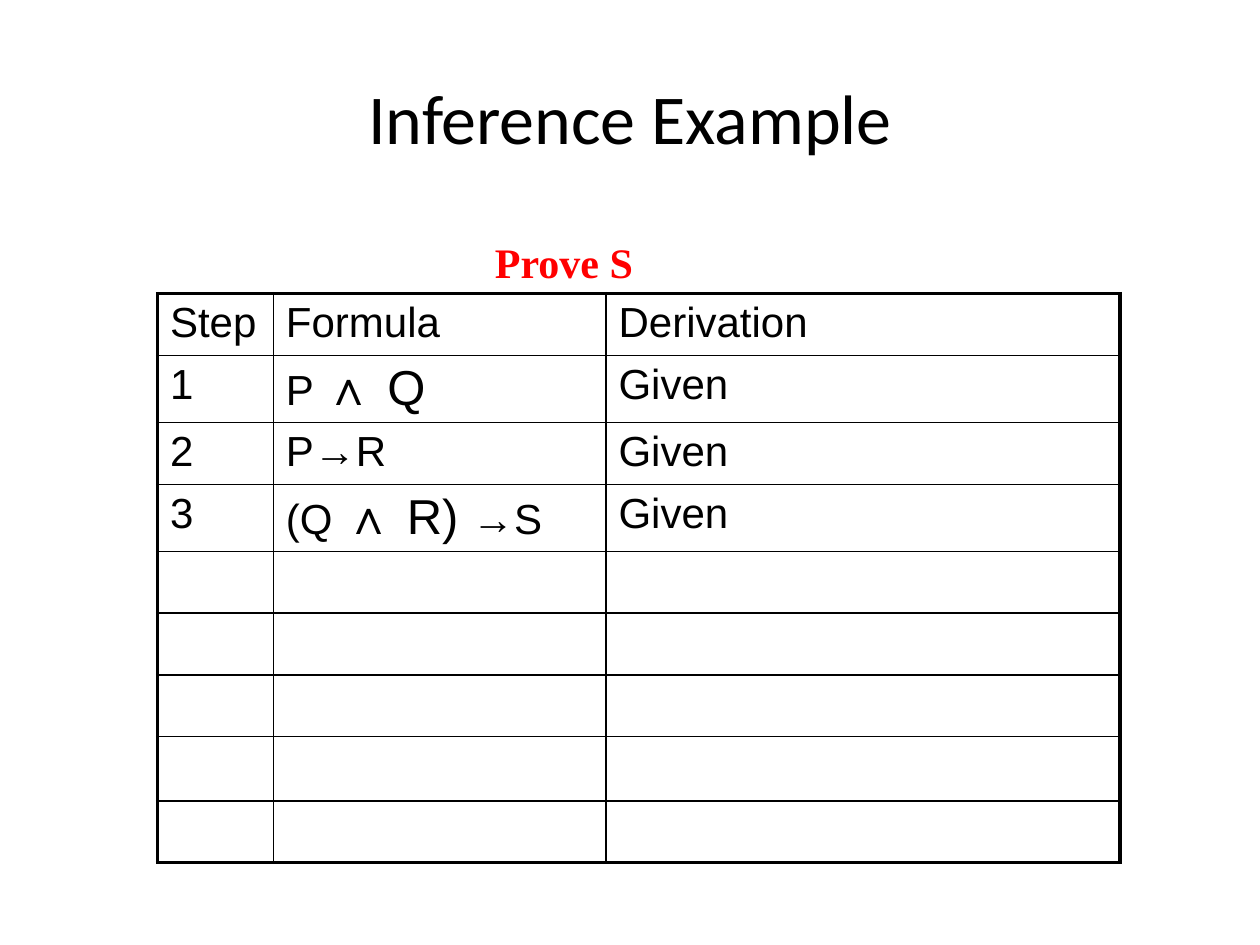
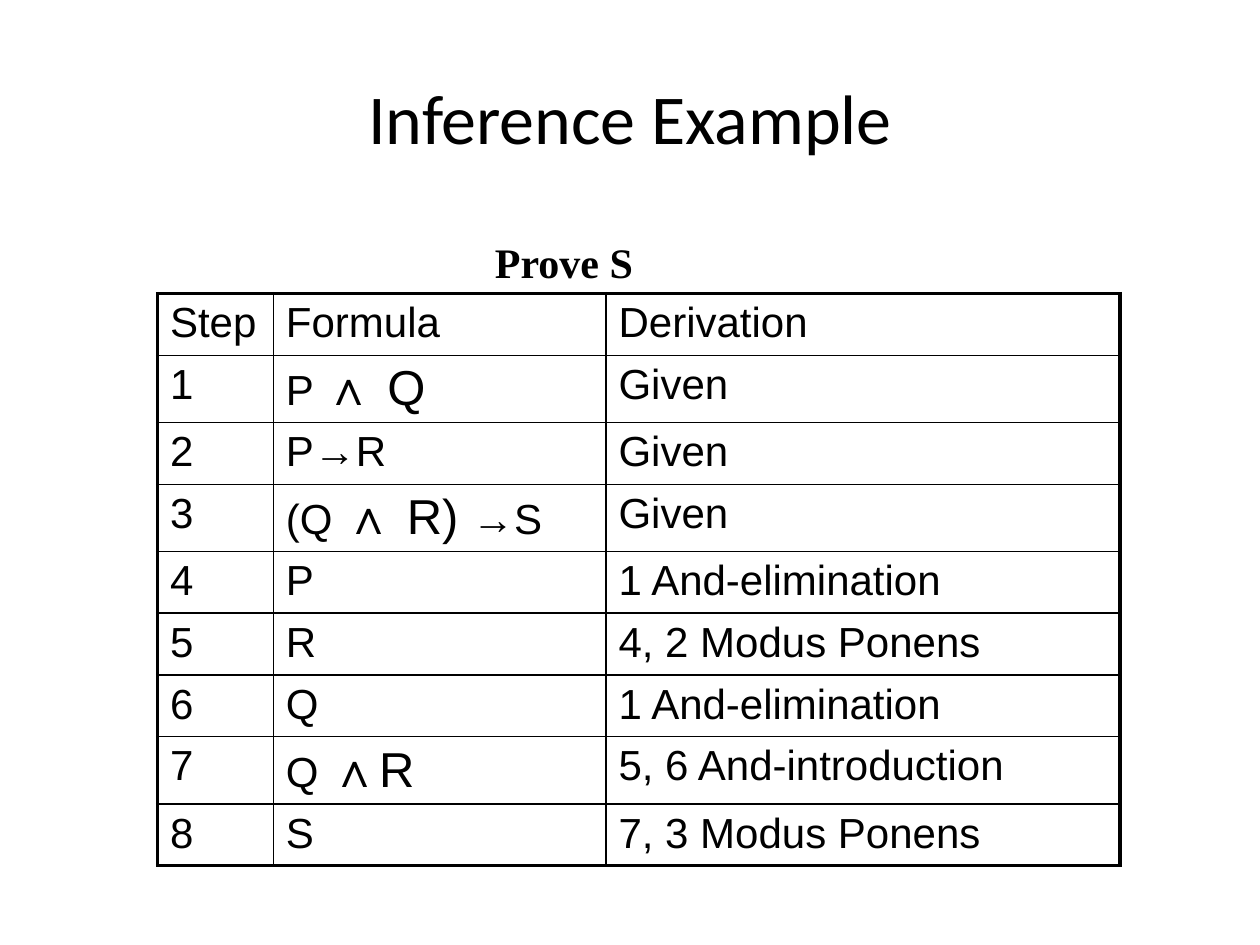
from dataclasses import dataclass

from lxml import etree
from pptx import Presentation
from pptx import util as u
from pptx.dml.color import RGBColor
from pptx.enum import text
from pptx.oxml.ns import qn


@dataclass(frozen=True)
class Theme:
    ink: str = "000000"
    accent: str = "FF0000"
    title_font: str = "Calibri"
    table_font: str = "Arial"
    goal_font: str = "Times New Roman"
    title_size: int = 40
    body_size: int = 24
    conjunction_size: int = 28
    outer_border: float = 2.25
    inner_border: float = 1


THEME = Theme()

COLUMN_WIDTHS = (0.92, 2.64, 4.08)
ROW_HEIGHT, TALL_ROW_HEIGHT = 0.49, 0.51
TALL_ROWS = (1, 3, 7)

# Each formula is a tuple of runs; runs holding a conjunction are set larger.
HEADER = ("Step", ("Formula",), "Derivation")
PREMISES = [
    ("1", ("P ", "∧ Q"), "Given"),
    ("2", ("P→R",), "Given"),
    ("3", ("(Q ", "∧ R) ", "→S"), "Given"),
]
DERIVED = [
    ("4", ("P",), "1 And-elimination"),
    ("5", ("R",), "4, 2 Modus Ponens"),
    ("6", ("Q",), "1 And-elimination"),
    ("7", ("Q ", "∧R"), "5, 6 And-introduction"),
    ("8", ("S",), "7, 3 Modus Ponens"),
]
UNSOLVED = [("", (), "")] * len(DERIVED)


def style_font(font, name, size, color=THEME.ink, bold=False):
    font.name = name
    font.size = u.Pt(size)
    font.bold = bold
    font.color.rgb = RGBColor.from_string(color)


def add_title(s, title):
    sp = s.shapes.title
    sp.left, sp.top = u.Inches(0.5), u.Inches(0.3)
    sp.width, sp.height = u.Inches(9), u.Inches(1.25)
    tf = sp.text_frame
    tf.text = title
    tf.vertical_anchor = text.MSO_ANCHOR.MIDDLE
    p = tf.paragraphs[0]
    p.alignment = text.PP_ALIGN.CENTER
    style_font(p.runs[0].font, THEME.title_font, THEME.title_size)


def add_goal(s, goal, color):
    sp = s.shapes.add_textbox(u.Inches(3.83), u.Inches(1.83),
                              u.Inches(2.08), u.Inches(0.5))
    tf = sp.text_frame
    tf.word_wrap = True
    tf.auto_size = text.MSO_AUTO_SIZE.SHAPE_TO_FIT_TEXT
    tf.text = goal
    style_font(tf.paragraphs[0].runs[0].font, THEME.goal_font,
               THEME.body_size, color, bold=True)


def set_borders(cell, outer_sides):
    """Draw all four borders, heavier on the sides along the table's edge."""
    tc_pr = cell._tc.get_or_add_tcPr()
    for side in "LRTB":
        width = THEME.outer_border if side in outer_sides else THEME.inner_border
        ln = etree.SubElement(tc_pr, qn(f"a:ln{side}"), w=str(u.Pt(width)))
        fill = etree.SubElement(ln, qn("a:solidFill"))
        etree.SubElement(fill, qn("a:srgbClr"), val=THEME.ink)


def fill_cell(cell, runs):
    p = cell.text_frame.paragraphs[0]
    for run_text in runs:
        r = p.add_run()
        r.text = run_text
        size = THEME.conjunction_size if "∧" in run_text else THEME.body_size
        style_font(r.font, THEME.table_font, size)


def add_proof_table(s, rows):
    heights = [TALL_ROW_HEIGHT if i in TALL_ROWS else ROW_HEIGHT
               for i in range(len(rows))]
    table = s.shapes.add_table(
        len(rows), len(COLUMN_WIDTHS), u.Inches(1.25), u.Inches(2.33),
        u.Inches(sum(COLUMN_WIDTHS)), u.Inches(sum(heights))).table
    table.first_row = table.horz_banding = False
    for column, width in zip(table.columns, COLUMN_WIDTHS):
        column.width = u.Inches(width)
    last_row, last_column = len(rows) - 1, len(COLUMN_WIDTHS) - 1
    for i, (step, formula, derivation) in enumerate(rows):
        table.rows[i].height = u.Inches(heights[i])
        for j, runs in enumerate(((step,), formula, (derivation,))):
            cell = table.cell(i, j)
            edges = {"L": j == 0, "R": j == last_column,
                     "T": i == 0, "B": i == last_row}
            set_borders(cell, [side for side, on_edge in edges.items() if on_edge])
            cell.fill.background()
            fill_cell(cell, [r for r in runs if r])


def add_proof_slide(prs, goal_color, steps):
    s = prs.slides.add_slide(prs.slide_layouts.get_by_name("Title Only"))
    add_title(s, "Inference Example")
    add_proof_table(s, [HEADER, *PREMISES, *steps])
    add_goal(s, "Prove S", goal_color)


def main():
    prs = Presentation()
    prs.slide_width, prs.slide_height = u.Inches(10), u.Inches(7.5)
    add_proof_slide(prs, THEME.accent, UNSOLVED)
    add_proof_slide(prs, THEME.ink, DERIVED)
    prs.save("out.pptx")


if __name__ == "__main__":
    main()
